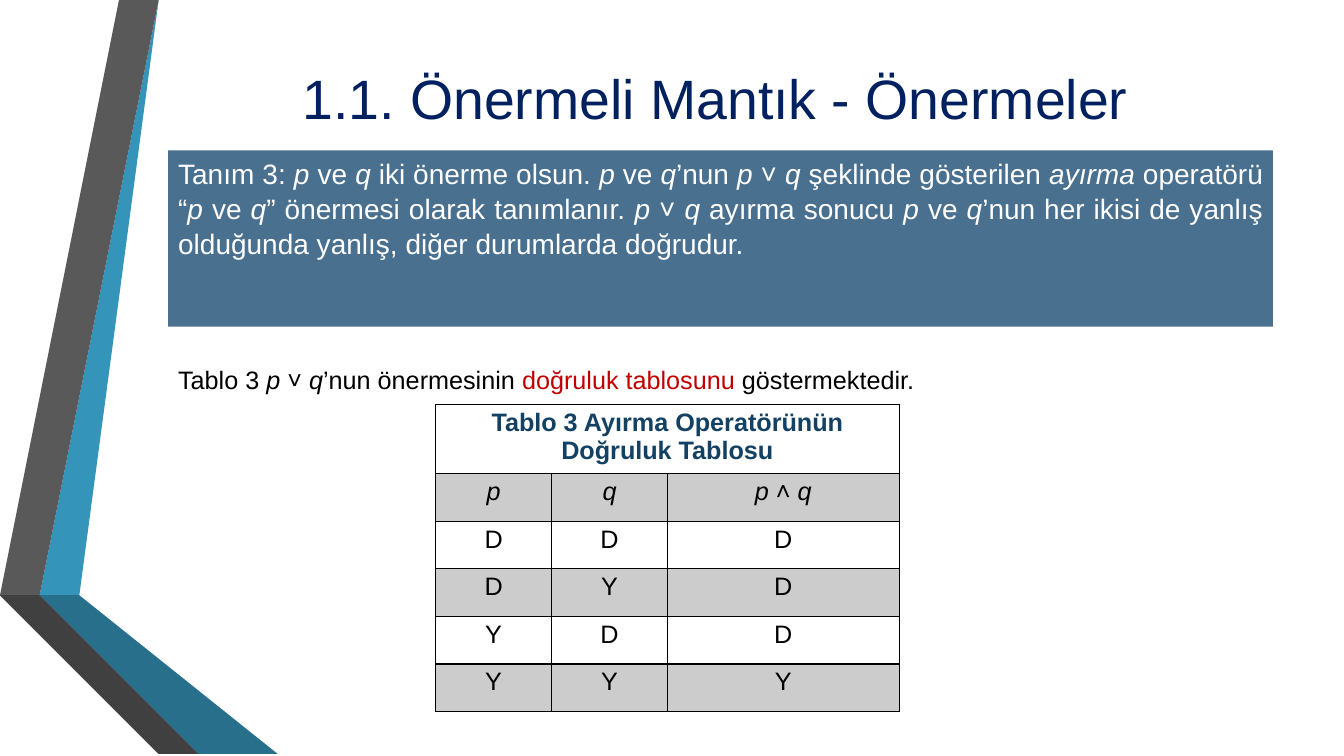
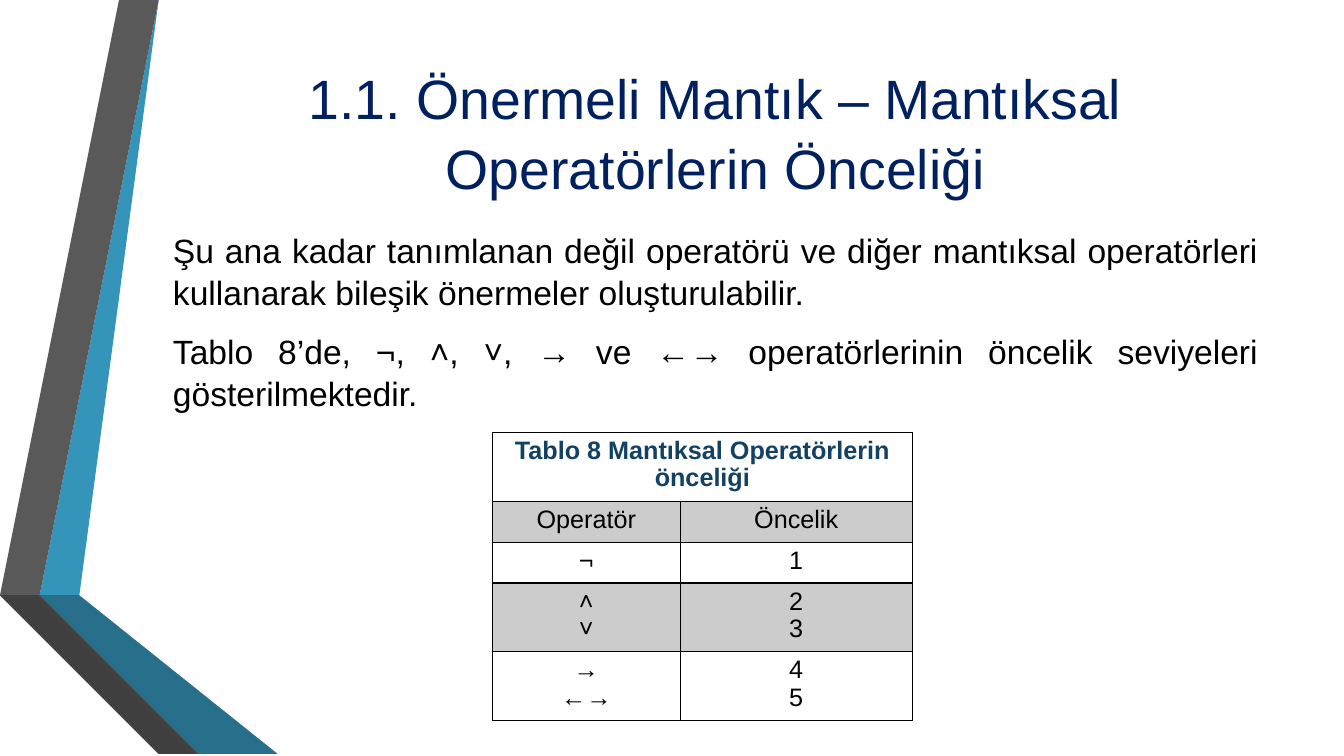
from lxml.etree import SubElement
from pptx import Presentation
from pptx.dml.color import RGBColor
from pptx.enum.shapes import MSO_SHAPE
from pptx.enum.text import MSO_ANCHOR, PP_ALIGN
from pptx.oxml.ns import qn
from pptx.util import Cm, Pt

FONT = "Arial"
WHITE = RGBColor(0xFF, 0xFF, 0xFF)
BLACK = RGBColor(0, 0, 0)
NAVY = RGBColor(0x00, 0x20, 0x60)
STEEL = RGBColor(0x4A, 0x70, 0x90)
HEAD = RGBColor(0x13, 0x41, 0x63)
RED = RGBColor(0xC0, 0, 0)
GREY = RGBColor(0xCC, 0xCC, 0xCC)

# Side ribbon: colour and corner points in centimetres
RIBBON = [
    (RGBColor(0x34, 0x94, 0xBA),
     [(1.27, 14.68), (1.96, 14.81), (4.39, 0), (3.68, 0)]),
    (RGBColor(0x59, 0x59, 0x59),
     [(3.53, 0), (2.82, 0), (0.41, 14.55), (1.12, 14.66)]),
    (RGBColor(0x26, 0x26, 0x26),
     [(0.41, 14.55), (3.68, 19.05), (3.84, 19.05)]),
    (RGBColor(0x1A, 0x4A, 0x5D),
     [(1.27, 14.71), (5.28, 19.05), (5.44, 19.05)]),
    (RGBColor(0x27, 0x6F, 0x8B),
     [(1.27, 14.7), (5.44, 19.05), (7.19, 19.05), (1.96, 14.81)]),
    (RGBColor(0x40, 0x40, 0x40),
     [(5.13, 19.05), (1.22, 14.81), (1.12, 14.66), (0.41, 14.55),
      (3.84, 19.05)]),
]

# Asterisks switch italics on and off
RULE = ("Tanım 3: *p* ve *q* iki önerme olsun. *p* ve *q*’nun *p* ˅ *q* "
        "şeklinde gösterilen *ayırma* operatörü “*p* ve *q*” önermesi olarak "
        "tanımlanır. *p* ˅ *q* ayırma sonucu *p* ve *q*’nun her ikisi de "
        "yanlış olduğunda yanlış, diğer durumlarda doğrudur.")
NOTE = [("Tablo 3 *p* ˅ *q*’nun önermesinin ", BLACK),
        ("doğruluk tablosunu ", RED), ("göstermektedir.", BLACK)]
BODY = ["Şu ana kadar tanımlanan değil operatörü ve diğer mantıksal "
        "operatörleri kullanarak bileşik önermeler oluşturulabilir.",
        "Tablo 8’de, ¬, ˄, ˅, → ve ←→ operatörlerinin öncelik seviyeleri "
        "gösterilmektedir."]

TRUTH = {
    "at": (10.98, 10.2), "cols": [2.92, 2.92, 5.84], "row": 1.2,
    "title": "Tablo 3 Ayırma Operatörünün Doğruluk Tablosu",
    "rows": [("*p*", "*q*", "*p* ˄ *q*"), "DDD", "DYD", "YDD", "YYY"],
}
ORDER = {
    "at": (12.41, 10.9), "cols": [4.73, 5.85], "row": 1.03,
    "title": "Tablo 8 Mantıksal Operatörlerin önceliği",
    "rows": [("Operatör", "Öncelik"), ("¬", "1"), ("˄\n˅", "2\n3"),
             ("→\n←→", "4\n5")],
}
TALL = 1.68


def write(frame, paras, size, align, bold=False, lead=1.04, after=0):
    """Fill a frame; each paragraph is a list of (marked text, colour)."""
    frame.word_wrap = True
    for i, parts in enumerate(paras):
        para = frame.add_paragraph() if i else frame.paragraphs[0]
        para.alignment = align
        para.line_spacing = lead
        para.space_after = Pt(after)
        for text, color in parts:
            for n, piece in enumerate(text.split("*")):
                if not piece:
                    continue
                run = para.add_run()
                run.text = piece
                font = run.font
                font.name, font.size, font.bold = FONT, Pt(size), bold
                font.italic = n % 2 == 1
                font.color.rgb = color


def paint(shape, color):
    shape.shadow.inherit = False
    shape.fill.solid()
    shape.fill.fore_color.rgb = color
    shape.line.fill.background()


def add_text(slide, box, paras, size, align, **style):
    frame = slide.shapes.add_textbox(*map(Cm, box)).text_frame
    write(frame, paras, size, align, **style)


def add_base(deck, title):
    """Add a slide with the ribbon and its title."""
    slide = deck.slides.add_slide(deck.slide_layouts[6])
    for color, (start, *rest) in RIBBON:
        form = slide.shapes.build_freeform(*start, scale=Cm(1))
        form.add_line_segments(rest, close=True)
        paint(form.convert_to_shape(), color)
    add_text(slide, (4.11, 1.4, 27.84, 3.4), [[(title, NAVY)]], 39.6,
             PP_ALIGN.CENTER, lead=1.05)
    return slide


def set_cell(cell, text, color, fill, bold):
    props = cell._tc.get_or_add_tcPr()
    for side in ("a:lnL", "a:lnR", "a:lnT", "a:lnB"):
        line = SubElement(props, qn(side), w=str(Pt(1)))
        solid = SubElement(line, qn("a:solidFill"))
        SubElement(solid, qn("a:srgbClr"), val=str(BLACK))
    cell.fill.solid()
    cell.fill.fore_color.rgb = fill
    cell.vertical_anchor = MSO_ANCHOR.TOP
    paras = [[(part, color)] for part in text.split("\n")]
    write(cell.text_frame, paras, 18, PP_ALIGN.CENTER, bold, lead=0.97)


def add_grid(slide, data):
    cols = data["cols"]
    rows = [(data["title"],) + ("",) * (len(cols) - 1), *data["rows"]]
    highs = [TALL if i == 0 or "\n" in row[0] else data["row"]
             for i, row in enumerate(rows)]
    box = (*data["at"], sum(cols), sum(highs))
    table = slide.shapes.add_table(len(rows), len(cols),
                                   *map(Cm, box)).table
    for col, wide in zip(table.columns, cols):
        col.width = Cm(wide)
    for r, (row, high) in enumerate(zip(rows, highs)):
        table.rows[r].height = Cm(high)
        for c, text in enumerate(row):
            set_cell(table.cell(r, c), text, BLACK if r else HEAD,
                     GREY if r % 2 else WHITE, r == 0)
    table.cell(0, 0).merge(table.cell(0, len(cols) - 1))


def main():
    deck = Presentation()
    deck.slide_width, deck.slide_height = Cm(33.87), Cm(19.05)

    slide = add_base(deck, "1.1. Önermeli Mantık - Önermeler")
    add_grid(slide, TRUTH)
    panel = slide.shapes.add_shape(
        MSO_SHAPE.RECTANGLE, Cm(4.24), Cm(3.79), Cm(27.84), Cm(4.44))
    paint(panel, STEEL)
    panel.text_frame.vertical_anchor = MSO_ANCHOR.TOP
    write(panel.text_frame, [[(RULE, WHITE)]], 20, PP_ALIGN.JUSTIFY)
    add_text(slide, (4.24, 9.02, 27.71, 1.1), [NOTE], 18, PP_ALIGN.LEFT)

    slide = add_base(
        deck, "1.1. Önermeli Mantık – Mantıksal Operatörlerin Önceliği")
    add_text(slide, (4.11, 5.64, 27.84, 4.9),
             [[(text, BLACK)] for text in BODY], 24, PP_ALIGN.JUSTIFY,
             after=12)
    add_grid(slide, ORDER)

    deck.save("out.pptx")


if __name__ == "__main__":
    main()
